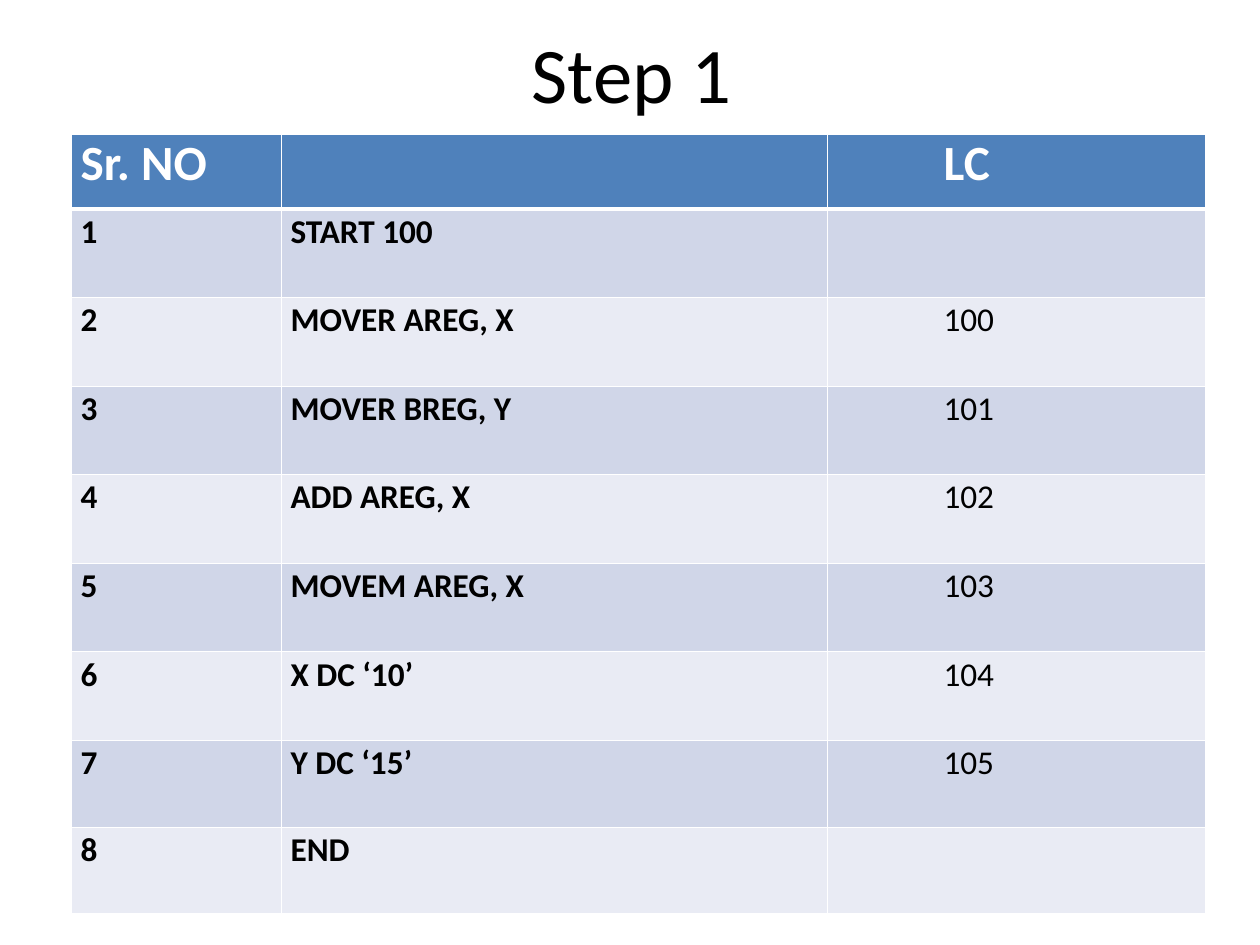
from lxml import etree
from pptx import Presentation
from pptx import util as u
from pptx.dml.color import RGBColor
from pptx.enum import text
from pptx.oxml import ns

WHITE = RGBColor(0xFF, 0xFF, 0xFF)
BLACK = RGBColor(0, 0, 0)
BLUE = RGBColor(0x4F, 0x81, 0xBB)
DARK = RGBColor(0xD0, 0xD6, 0xE8)
PALE = RGBColor(0xE9, 0xEB, 0xF4)

COLS = [2.37, 6.16, 4.27]
ROWS = [0.84] + [1] * 6 + [0.98] * 2
CODE = ["START 100", "MOVER AREG, X", "MOVER BREG, Y", "ADD AREG, X",
        "MOVEM AREG, X", "X DC ‘10’", "Y DC ‘15’", "END"]
COUNTS = ["", "100", "101", "102", "103", "104", "105", ""]


def write(frame, words, size=27, color=BLACK, bold=False, line=None,
          align=text.PP_ALIGN.LEFT):
    """Put one formatted paragraph in a text frame."""
    par = frame.paragraphs[0]
    par.alignment = align
    if line:
        par.line_spacing = u.Pt(line)
    run = par.add_run()
    run.text = words
    font = run.font
    font.name, font.size, font.bold = "Calibri", u.Pt(size), bold
    font.color.rgb = color


def edge(cell, widths):
    """Draw white borders of the given point widths: left, right, top, bottom."""
    props = cell._tc.get_or_add_tcPr()
    for i, (side, width) in enumerate(zip("LRTB", widths)):
        line = etree.Element(ns.qn("a:ln" + side), w=str(u.Pt(width)))
        fill = etree.SubElement(line, ns.qn("a:solidFill"))
        etree.SubElement(fill, ns.qn("a:srgbClr"), val=str(WHITE))
        props.insert(i, line)


def title(slide, words, left, top, width, height):
    """Place the centred heading."""
    frame = slide.shapes.add_textbox(*map(u.Inches, (left, top, width, height))).text_frame
    frame.word_wrap = True
    frame.margin_left = frame.margin_right = frame.margin_bottom = 0
    frame.margin_top = u.Inches(0.01)
    write(frame, words, size=64, align=text.PP_ALIGN.CENTER)


def listing(slide, left, top, width, height):
    """Place the table of statements and location counts."""
    grid = slide.shapes.add_table(len(ROWS), len(COLS),
                                  *map(u.Inches, (left, top, width, height))).table
    for col, size in zip(grid.columns, COLS):
        col.width = u.Inches(size)
    for row, size in zip(grid.rows, ROWS):
        row.height = u.Inches(size)
    data = [("Sr. NO", "", "LC")]
    data += [(str(n), *pair) for n, pair in enumerate(zip(CODE, COUNTS), 1)]
    for r, row in enumerate(data):
        head = r == 0
        for c, words in enumerate(row):
            cell = grid.cell(r, c)
            cell.margin_left = u.Inches(1.31 if c == 2 else 0.1)
            cell.margin_right = cell.margin_bottom = 0
            cell.margin_top = u.Inches(0 if head else 0.03)
            cell.fill.solid()
            cell.fill.fore_color.rgb = BLUE if head else DARK if r % 2 else PALE
            edge(cell, (1, 1, 3 if r == 1 else 1, 3 if head else 1))
            if words:
                write(cell.text_frame, words, size=40 if head else 27,
                      color=WHITE if head else BLACK,
                      bold=head or c < 2, line=48 if head else None)


def main():
    """Build and save the slide."""
    deck = Presentation()
    deck.slide_width, deck.slide_height = u.Inches(14.22), u.Inches(10.67)
    slide = deck.slides.add_slide(deck.slide_layouts[6])
    listing(slide, 0.81, 1.52, sum(COLS), sum(ROWS))
    title(slide, "Step 1", 5.49, 0.27, 3.27, 1.09)
    deck.save("out.pptx")


if __name__ == "__main__":
    main()
